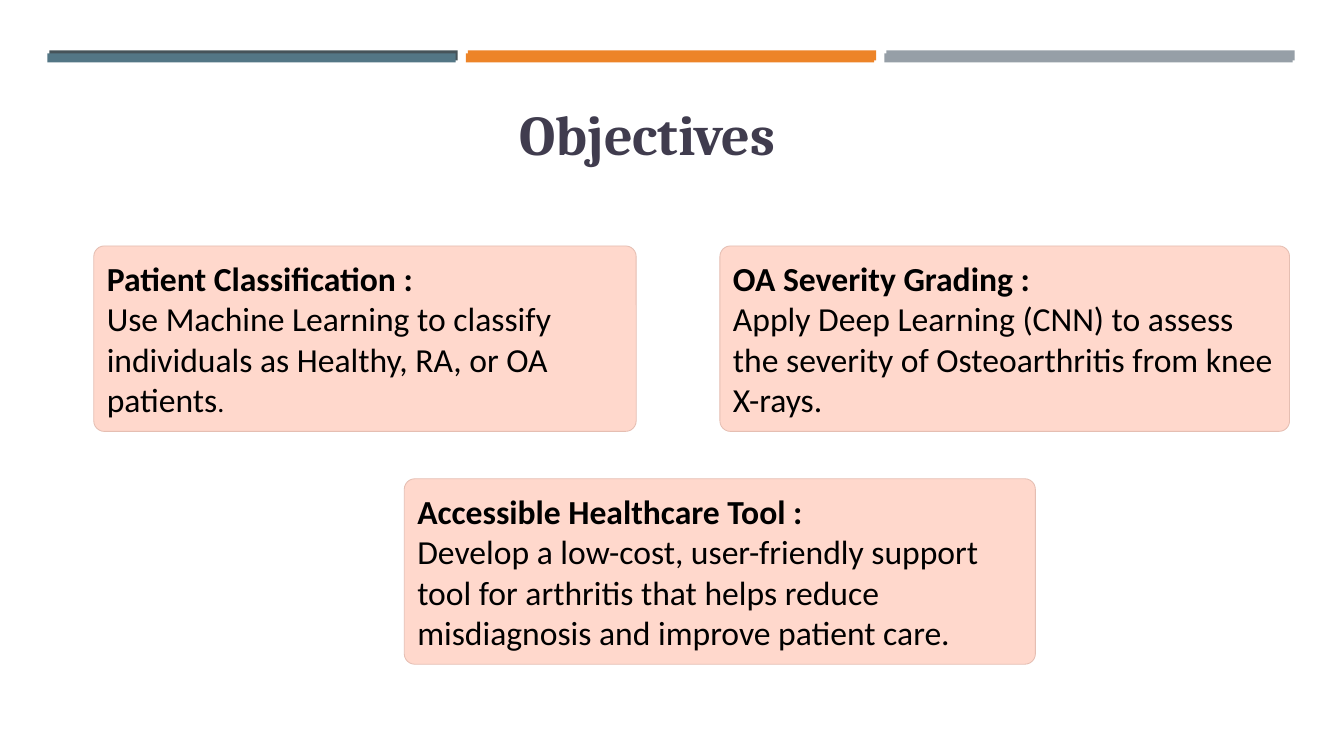
from pptx import Presentation
from pptx.dml.color import RGBColor
from pptx.enum.shapes import MSO_SHAPE
from pptx.enum.text import MSO_ANCHOR, PP_ALIGN
from pptx.util import Inches, Pt


def color(hex_string):
    return RGBColor.from_string(hex_string)


def add_block(kind, left, top, width, height, fill):
    block = slide.shapes.add_shape(
        kind, Inches(left), Inches(top), Inches(width), Inches(height))
    block.shadow.inherit = False
    block.fill.solid()
    block.fill.fore_color.rgb = color(fill)
    block.line.fill.background()
    return block


presentation = Presentation()
presentation.slide_width = Inches(13.33)
presentation.slide_height = Inches(7.5)
slide = presentation.slides.add_slide(presentation.slide_layouts[5])

# Two layers of stripes across the top, the front one slightly offset
stripe_layers = [
    (0.49, 0.5, 0.1, ["465359", "ED8428", "969FA7"]),
    (0.47, 0.53, 0.09, ["537685", "ED8428", "969FA7"]),
]
for left, top, height, fills in stripe_layers:
    for column, fill in enumerate(fills):
        add_block(MSO_SHAPE.RECTANGLE, left + column * 4.15, top, 4.05, height, fill)

# Title
title = slide.shapes.title
title.left, title.top = Inches(4.67), Inches(0.91)
title.width, title.height = Inches(4), Inches(0.79)
title.text_frame.text = "Objectives"
title.text_frame.vertical_anchor = MSO_ANCHOR.BOTTOM
title.text_frame.margin_right = Inches(0.6)
heading = title.text_frame.paragraphs[0]
heading.alignment = PP_ALIGN.CENTER
title_format = {"name": "Cambria", "size": Pt(40), "bold": True}
for attribute, value in title_format.items():
    setattr(heading.runs[0].font, attribute, value)
heading.runs[0].font.color.rgb = color("403C4E")

# Objective cards
objectives = [
    (0.93, 2.44, 5.38, "Patient Classification :",
     ["Use Machine Learning to classify individuals as Healthy, RA, or OA patients", "."]),
    (7.14, 2.44, 5.65, "OA Severity Grading :",
     ["Apply Deep Learning (CNN) to assess the severity of Osteoarthritis from knee X-rays."]),
    (4.01, 4.75, 6.26, "Accessible Healthcare Tool :",
     ["Develop a low-cost, user-friendly support tool for arthritis that helps "
      "reduce misdiagnosis and improve patient care."]),
]
for left, top, width, objective, description in objectives:
    card = add_block(MSO_SHAPE.ROUNDED_RECTANGLE, left, top, width, 1.84, "FFD8CC")
    card.adjustments[0] = 0.057
    card.line.color.rgb = color("E5BEB2")
    card.line.width = Pt(0.6)
    frame = card.text_frame
    frame.word_wrap = True
    frame.vertical_anchor = MSO_ANCHOR.MIDDLE
    paragraphs = [frame.paragraphs[0], frame.add_paragraph()]
    for paragraph, texts in zip(paragraphs, [[objective], description]):
        paragraph.alignment = PP_ALIGN.LEFT
        for text in texts:
            run = paragraph.add_run()
            run.text = text
            run.font.name = "Calibri"
            run.font.size = Pt(20 if text == "." else 24)
            run.font.bold = text == objective
            run.font.color.rgb = color("000000")

presentation.save("out.pptx")
